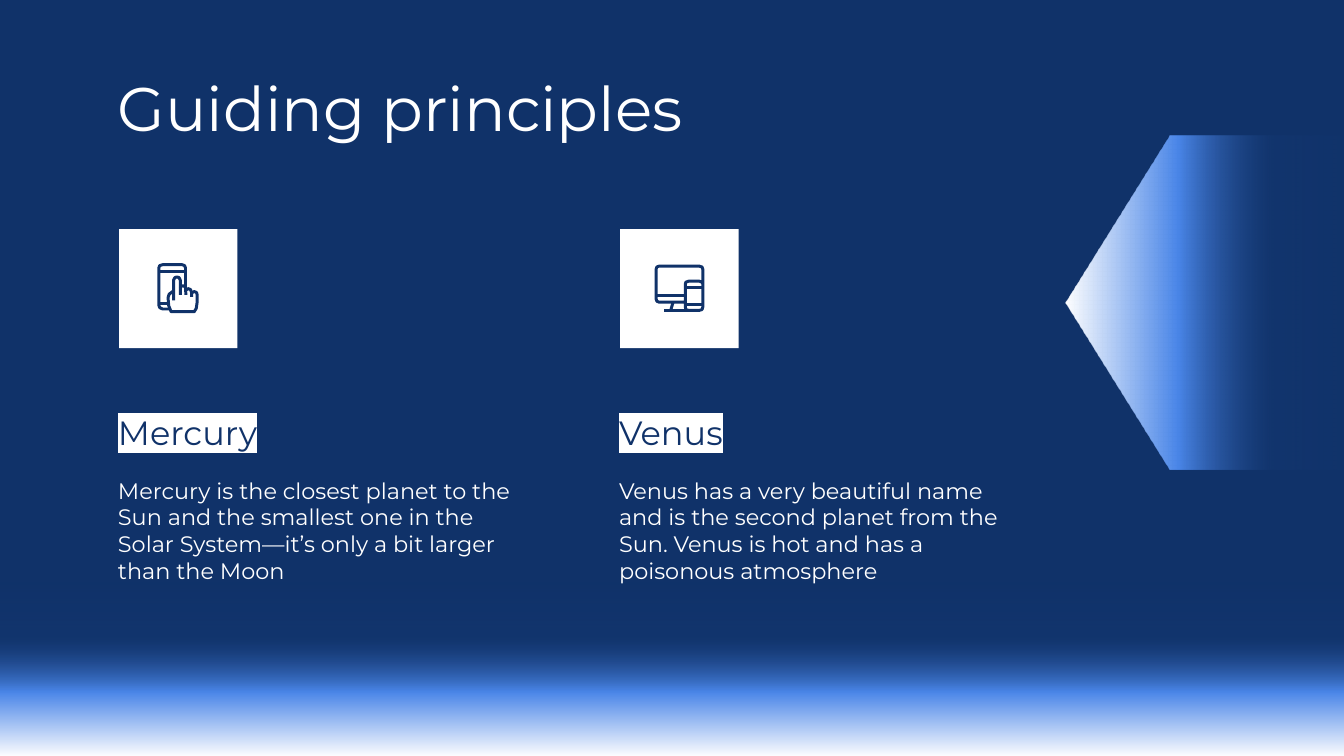
from dataclasses import dataclass

import pptx
import pptx.dml.color
import pptx.enum.shapes
import pptx.enum.text
import pptx.oxml
import pptx.oxml.ns
import pptx.util
from pptx.util import Cm

NAVY = "103269"
WHITE = "FFFFFF"
GLOW_STOPS = [(0, "1C4587", 0), (32, "1C4587", 15), (63, "4A86E8", 100), (100, WHITE, 100)]
ICON_UNIT = Cm(0.00254)

Stroke = list[tuple[int, int]]

TOUCH_ICON: list[Stroke] = [
    [(380, 595), (325, 595), (303, 585), (296, 565), (296, 290), (303, 272), (325, 265),
     (470, 265), (488, 272), (495, 290), (495, 430)],
    [(296, 315), (495, 315)],
    [(296, 555), (360, 555)],
    [(406, 530), (406, 380), (415, 362), (431, 356), (448, 362), (456, 380), (456, 490)],
    [(456, 440), (465, 424), (482, 422), (495, 435), (498, 490)],
    [(498, 455), (515, 443), (532, 450), (540, 470), (540, 505)],
    [(540, 475), (560, 465), (577, 472), (582, 490), (582, 540), (575, 590), (560, 615),
     (388, 615), (370, 570), (365, 510), (373, 485), (406, 460)],
]
DEVICES_ICON: list[Stroke] = [
    [(486, 544), (290, 544), (274, 537), (268, 520), (268, 300), (274, 282), (290, 276),
     (590, 276), (610, 282), (616, 300), (616, 580), (610, 600), (590, 605), (510, 605),
     (490, 600), (486, 580), (486, 410), (490, 395), (510, 388), (590, 388), (610, 395),
     (616, 410)],
    [(486, 437), (616, 437)],
    [(486, 565), (616, 565)],
    [(268, 495), (486, 495)],
    [(395, 544), (377, 605)],
    [(330, 605), (510, 605)],
]


@dataclass
class Principle:
    heading: str
    description: str
    icon: list[Stroke]
    heading_index: int
    description_index: int


PRINCIPLES = [
    Principle("Mercury",
              "Mercury is the closest planet to the Sun and the smallest one in the "
              "Solar System—it’s only a bit larger than the Moon", TOUCH_ICON, 1, 2),
    Principle("Venus",
              "Venus has a very beautiful name and is the second planet from the Sun. "
              "Venus is hot and has a poisonous atmosphere", DEVICES_ICON, 3, 4),
]


def color(value: str) -> pptx.dml.color.RGBColor:
    return pptx.dml.color.RGBColor.from_string(value)


def place(shape, left: float, top: float, width: float, height: float) -> None:
    shape.left, shape.top = Cm(left), Cm(top)
    shape.width, shape.height = Cm(width), Cm(height)


def write_text(shape, text: str, *, size: float, font_color: str = WHITE, anchor: str = "TOP",
               space_after: float = 0, highlight: str | None = None) -> None:
    frame = shape.text_frame
    frame.word_wrap = True
    frame.auto_size = pptx.enum.text.MSO_AUTO_SIZE.NONE
    frame.vertical_anchor = pptx.enum.text.MSO_ANCHOR[anchor]
    frame.margin_left = frame.margin_right = frame.margin_top = frame.margin_bottom = Cm(0.25)
    paragraph = frame.paragraphs[0]
    properties = paragraph._p.get_or_add_pPr()
    properties.set("marL", "0")
    properties.set("indent", "0")
    properties.append(pptx.oxml.parse_xml(f'<a:buNone {pptx.oxml.ns.nsdecls("a")}/>'))
    paragraph.alignment = pptx.enum.text.PP_ALIGN.LEFT
    paragraph.space_before = pptx.util.Pt(0)
    paragraph.space_after = pptx.util.Pt(space_after)
    run = paragraph.add_run()
    run.text = text
    run.font.name = "Montserrat"
    run.font.size = pptx.util.Pt(size)
    run.font.bold = False
    run.font.color.rgb = color(font_color)
    if highlight:
        run._r.rPr.find(pptx.oxml.ns.qn("a:solidFill")).addnext(pptx.oxml.parse_xml(
            f'<a:highlight {pptx.oxml.ns.nsdecls("a")}><a:srgbClr val="{highlight}"/></a:highlight>'))


def add_block(slide, kind: str, left: float, top: float, width: float, height: float):
    shape = slide.shapes.add_shape(pptx.enum.shapes.MSO_SHAPE[kind],
                                   Cm(left), Cm(top), Cm(width), Cm(height))
    shape.shadow.inherit = False
    shape.line.fill.background()
    return shape


def fill_glow(shape, angle: int) -> None:
    stops = "".join(
        f'<a:gs pos="{position * 1000}"><a:srgbClr val="{value}">'
        f'<a:alpha val="{opacity * 1000}"/></a:srgbClr></a:gs>'
        for position, value, opacity in GLOW_STOPS)
    gradient = pptx.oxml.parse_xml(
        f'<a:gradFill {pptx.oxml.ns.nsdecls("a")} rotWithShape="1"><a:gsLst>{stops}</a:gsLst>'
        f'<a:lin ang="{angle * 60000}" scaled="0"/></a:gradFill>')
    shape._element.spPr.find(pptx.oxml.ns.qn("a:prstGeom")).addnext(gradient)


def draw_icon(slide, strokes: list[Stroke], left: float, top: float) -> None:
    first, *others = strokes
    builder = slide.shapes.build_freeform(*first[0], scale=ICON_UNIT)
    builder.add_line_segments(first[1:], close=False)
    for stroke in others:
        builder.move_to(*stroke[0])
        builder.add_line_segments(stroke[1:], close=False)
    icon = builder.convert_to_shape(Cm(left), Cm(top))
    icon.shadow.inherit = False
    icon.fill.background()
    icon.line.color.rgb = color(NAVY)
    icon.line.width = pptx.util.Pt(1.6)


def draw_principle(slide, principle: Principle, left: float) -> None:
    heading = slide.placeholders[principle.heading_index]
    place(heading, left, 7.29, 8, 1.5)
    write_text(heading, principle.heading, size=18, font_color=NAVY, anchor="BOTTOM",
               highlight=WHITE)
    description = slide.placeholders[principle.description_index]
    place(description, left, 8.76, 8, 2.67)
    write_text(description, principle.description, size=12, space_after=12)
    tile_left, tile_top = left + 0.27, 4.33
    tile = add_block(slide, "RECTANGLE", tile_left, tile_top, 2.24, 2.25)
    tile.fill.solid()
    tile.fill.fore_color.rgb = color(WHITE)
    draw_icon(slide, principle.icon, tile_left, tile_top)


def main() -> None:
    presentation = pptx.Presentation()
    presentation.slide_width, presentation.slide_height = Cm(25.4), Cm(14.29)
    slide = presentation.slides.add_slide(presentation.slide_layouts.get_by_name("Comparison"))
    slide.background.fill.solid()
    slide.background.fill.fore_color.rgb = color(NAVY)

    fill_glow(add_block(slide, "RECTANGLE", 0, 11, 25.4, 3.29), angle=90)
    place(slide.shapes.title, 1.98, 0.89, 21.44, 2.26)
    write_text(slide.shapes.title, "Guiding principles", size=33, anchor="MIDDLE")
    for column, principle in enumerate(PRINCIPLES):
        draw_principle(slide, principle, left=1.98 + column * 9.47)

    arrow = add_block(slide, "PENTAGON", 20.14, 2.56, 5.74, 6.31)
    arrow.adjustments[0] = 0.343
    arrow.rotation = 180
    fill_glow(arrow, angle=0)

    presentation.save("out.pptx")


if __name__ == "__main__":
    main()
